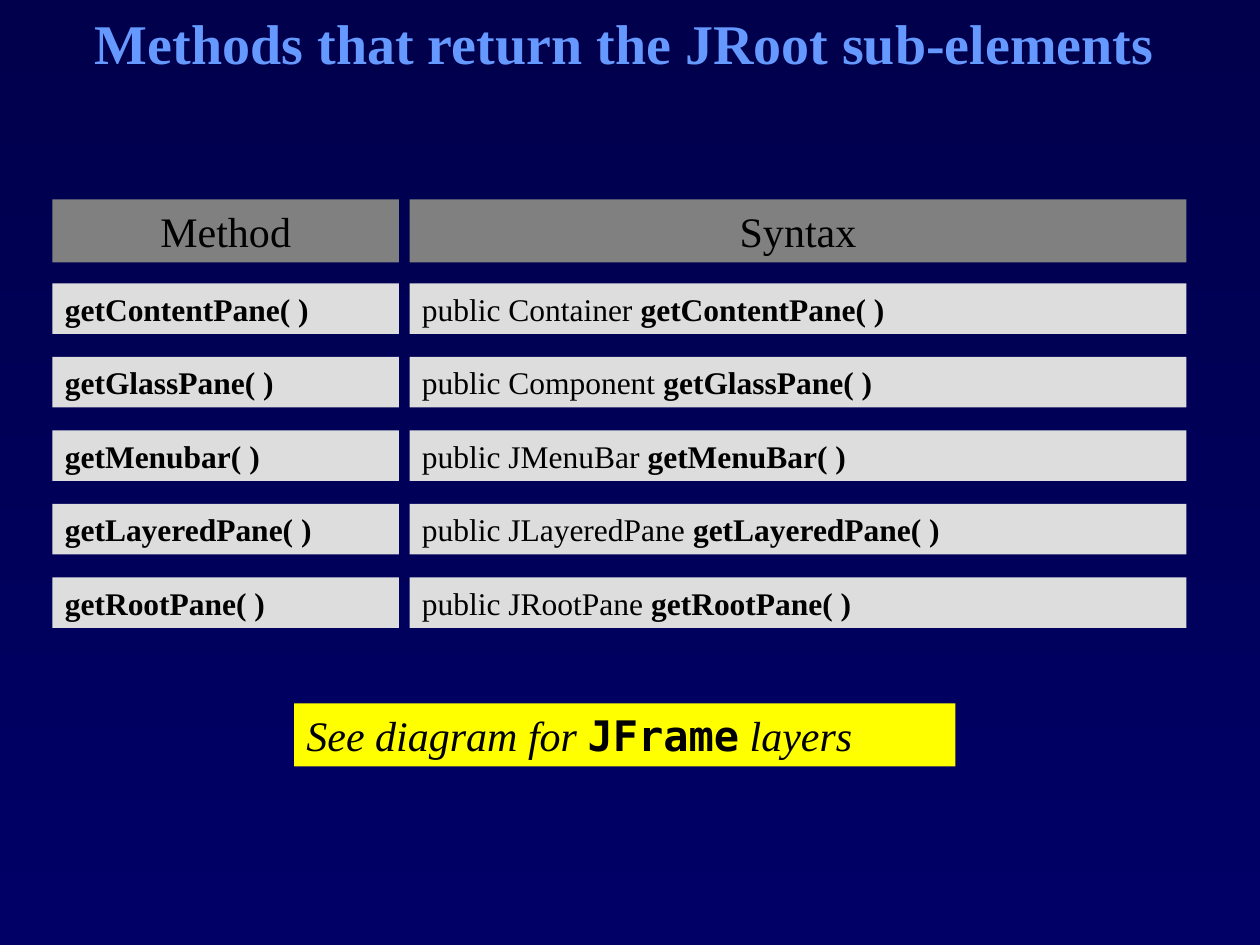
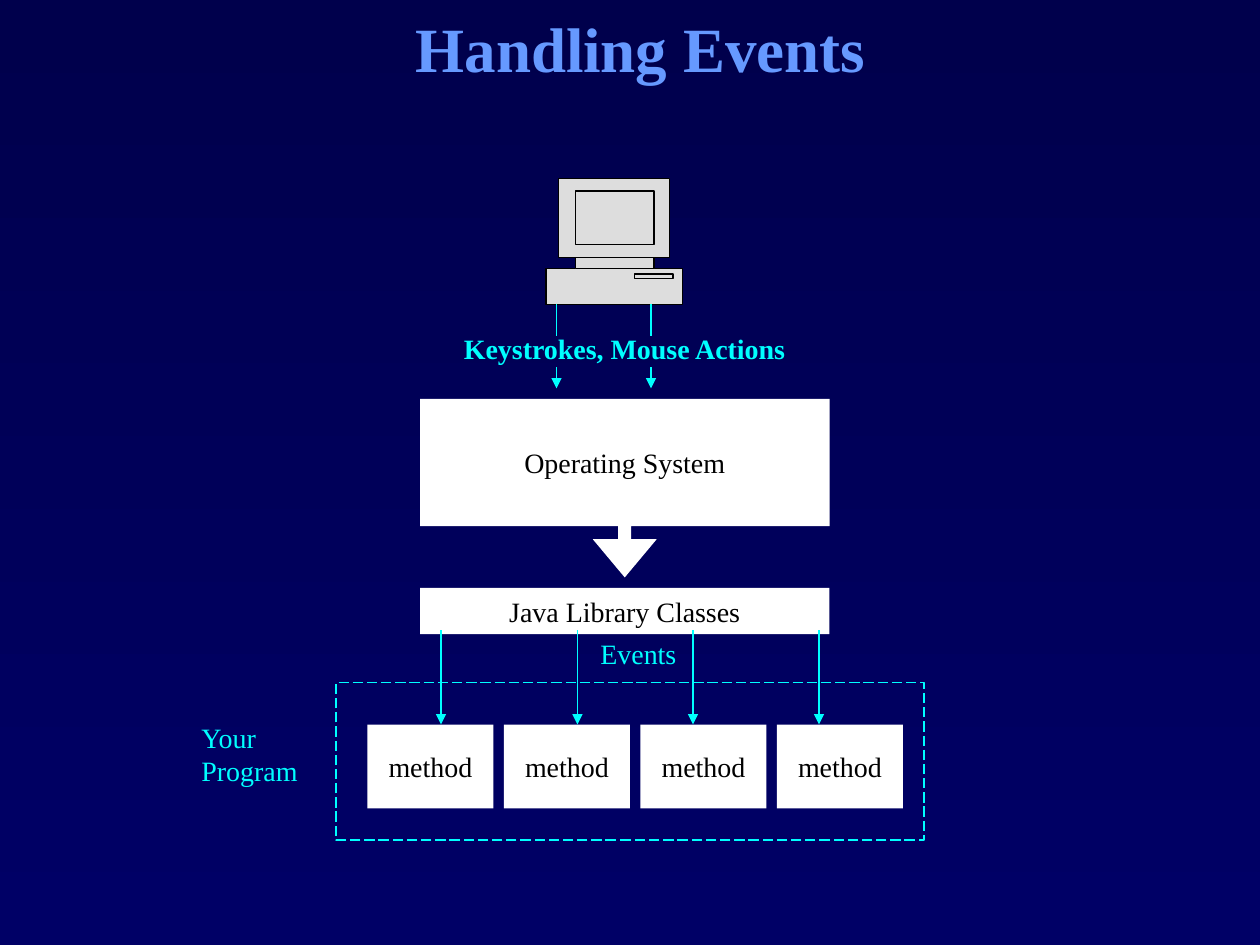
"""Build two slides on Java root pane methods and event handling."""
import pptx
import pptx.dml.color
import pptx.enum.dml
import pptx.enum.shapes
import pptx.enum.text
import pptx.oxml
import pptx.oxml.ns
import pptx.util

PX = 7620
SERIF, MONO = "Times New Roman", "DejaVu Sans Mono"
BLACK, WHITE, GREY, SILVER = "000000", "FFFFFF", "808080", "DDDDDD"
CYAN, TITLE_BLUE, YELLOW = "00FFFF", "6699FF", "FFFF00"
RECT = pptx.enum.shapes.MSO_SHAPE.RECTANGLE
CALLOUT = pptx.enum.shapes.MSO_SHAPE.DOWN_ARROW_CALLOUT
LEFT, CENTER = pptx.enum.text.PP_ALIGN.LEFT, pptx.enum.text.PP_ALIGN.CENTER
TOP, MIDDLE = pptx.enum.text.MSO_ANCHOR.TOP, pptx.enum.text.MSO_ANCHOR.MIDDLE


def rgb(color):
    return pptx.dml.color.RGBColor.from_string(color)


def add_text(s, text, box, size=16, color=BLACK, bold=False, align=LEFT,
             anchor=TOP, fill=None, shape=RECT, wrap=True):
    box = [v * PX for v in box]
    if fill:
        sp = s.shapes.add_shape(shape, *box)
        sp.shadow.inherit = False
        sp.fill.solid()
        sp.fill.fore_color.rgb = rgb(fill)
        sp.line.fill.background()
    else:
        sp = s.shapes.add_textbox(*box)
    tf = sp.text_frame
    tf.word_wrap = wrap
    tf.vertical_anchor = anchor
    p = tf.paragraphs[0]
    p.alignment = align
    runs = [(text, {})] if isinstance(text, str) else text
    for words, changes in runs:
        r = p.add_run()
        r.text = words
        r.font.name = changes.get("font", SERIF)
        r.font.size = pptx.util.Pt(size)
        r.font.bold = changes.get("bold", bold)
        r.font.italic = changes.get("italic", False)
        r.font.color.rgb = rgb(color)
    return sp


prs = pptx.Presentation()
prs.slide_width, prs.slide_height = 1200 * PX, 900 * PX
bg = prs.slide_master.background.fill
bg.gradient()
bg.gradient_angle = 270
for stop, color in zip(bg.gradient_stops, ("00004C", "000066")):
    stop.color.rgb = rgb(color)

slides = []
for title, box, size in (
        ("Methods that return the JRoot sub-elements", (70, 0, 1050, 80), 32),
        ("Handling Events", (100, 0, 1020, 90), 36)):
    s = prs.slides.add_slide(prs.slide_layouts[6])
    add_text(s, title, box, size=size, color=TITLE_BLUE, bold=True,
             align=CENTER, anchor=MIDDLE)
    slides.append(s)
methods_slide, events_slide = slides

s = methods_slide
method_col, syntax_col = (50, 330), (390, 740)
for (x, w), heading in ((method_col, "Method"), (syntax_col, "Syntax")):
    add_text(s, heading, (x, 190, w, 60), size=24, align=CENTER, fill=GREY)

methods = [
    ("getContentPane( )", "public Container ", "getContentPane( )"),
    ("getGlassPane( )", "public Component ", "getGlassPane( )"),
    ("getMenubar( )", "public JMenuBar ", "getMenuBar( )"),
    ("getLayeredPane( )", "public JLayeredPane ", "getLayeredPane( )"),
    ("getRootPane( )", "public JRootPane ", "getRootPane( )"),
]
for i, (method, returns, call) in enumerate(methods):
    signature = [(returns, {}), (call, {"bold": True})]
    for (x, w), text in ((method_col, method), (syntax_col, signature)):
        add_text(s, text, (x, 270 + 70 * i, w, 48), size=18,
                 bold=text is method, fill=SILVER)

add_text(s, [("See diagram for ", {"italic": True}),
             ("JFrame", {"font": MONO, "bold": True}),
             (" layers", {"italic": True})],
         (280, 670, 630, 60), size=24, fill=YELLOW)

s = events_slide
outline = [(623, 245), (638, 245), (638, 170), (532, 170), (532, 245), (548, 245),
           (548, 256), (520, 256), (520, 290), (650, 290), (650, 256)]
builder = s.shapes.build_freeform(623, 256, scale=PX)
builder.add_line_segments(outline, close=True)
computer = [builder.convert_to_shape()]
neck, screen, disk_slot = (548, 245, 75, 11), (548, 182, 75, 51), (604, 261, 37, 4)
for part in (neck, screen, disk_slot):
    computer.append(s.shapes.add_shape(RECT, *[v * PX for v in part]))
for sp in computer:
    sp.shadow.inherit = False
    sp.fill.solid()
    sp.fill.fore_color.rgb = rgb(SILVER)
    sp.line.color.rgb = rgb(BLACK)
    sp.line.width = pptx.util.Pt(0.75)

system = add_text(s, "Operating System", (400, 380, 390, 170), align=CENTER,
                  anchor=MIDDLE, fill=WHITE, shape=CALLOUT, wrap=False)
for i, value in enumerate((0.073, 0.179, 0.214, 0.713)):
    system.adjustments[i] = value
add_text(s, "Keystrokes, Mouse Actions", (430, 310, 350, 44), color=CYAN, bold=True)
add_text(s, "Java Library Classes", (400, 560, 390, 44), align=CENTER, fill=WHITE)
for i in range(4):
    add_text(s, "method", (350 + 130 * i, 690, 120, 80), align=CENTER,
             anchor=MIDDLE, fill=WHITE, wrap=False)

input_lines = [(x, *span) for x in (530, 620)
               for span in ((290, 320, False), (350, 370, True))]
event_lines = [(x, 600, 690, True) for x in (420, 550, 660, 780)]
for x, top, bottom, arrow in input_lines + event_lines:
    c = s.shapes.add_connector(pptx.enum.shapes.MSO_CONNECTOR.STRAIGHT,
                               x * PX, top * PX, x * PX, bottom * PX)
    c.line.color.rgb = rgb(CYAN)
    c.line.width = pptx.util.Pt(0.75)
    if arrow:
        tail = pptx.oxml.parse_xml(
            f'<a:tailEnd {pptx.oxml.ns.nsdecls("a")} type="triangle"/>')
        c.line._get_or_add_ln().append(tail)
    c._element.spPr.append(
        pptx.oxml.parse_xml(f'<a:effectLst {pptx.oxml.ns.nsdecls("a")}/>'))

add_text(s, "Events", (560, 600, 100, 44), color=CYAN)
program = s.shapes.add_shape(RECT, 320 * PX, 650 * PX, 560 * PX, 150 * PX)
program.shadow.inherit = False
program.fill.background()
program.line.color.rgb = rgb(CYAN)
program.line.width = pptx.util.Pt(0.75)
program.line.dash_style = pptx.enum.dml.MSO_LINE.LONG_DASH
add_text(s, "Your Program", (180, 680, 160, 77), color=CYAN)

prs.save("out.pptx")
